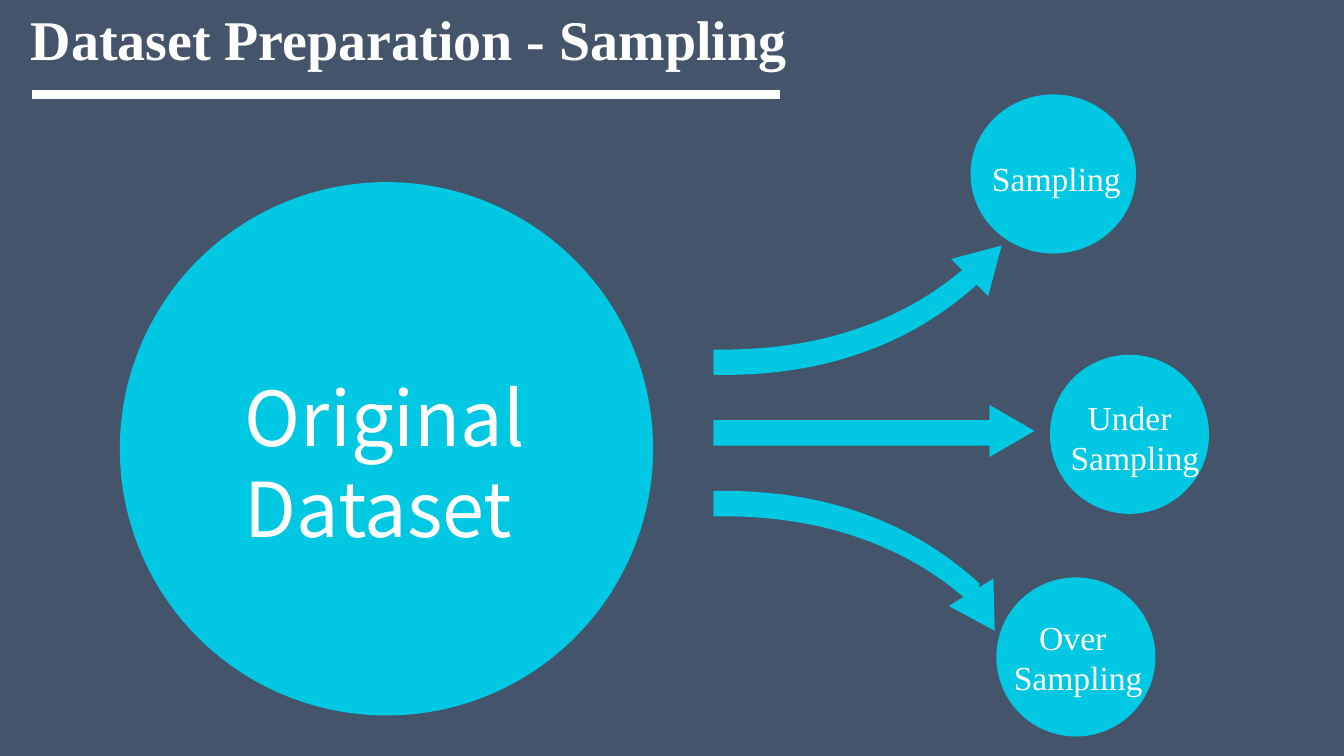
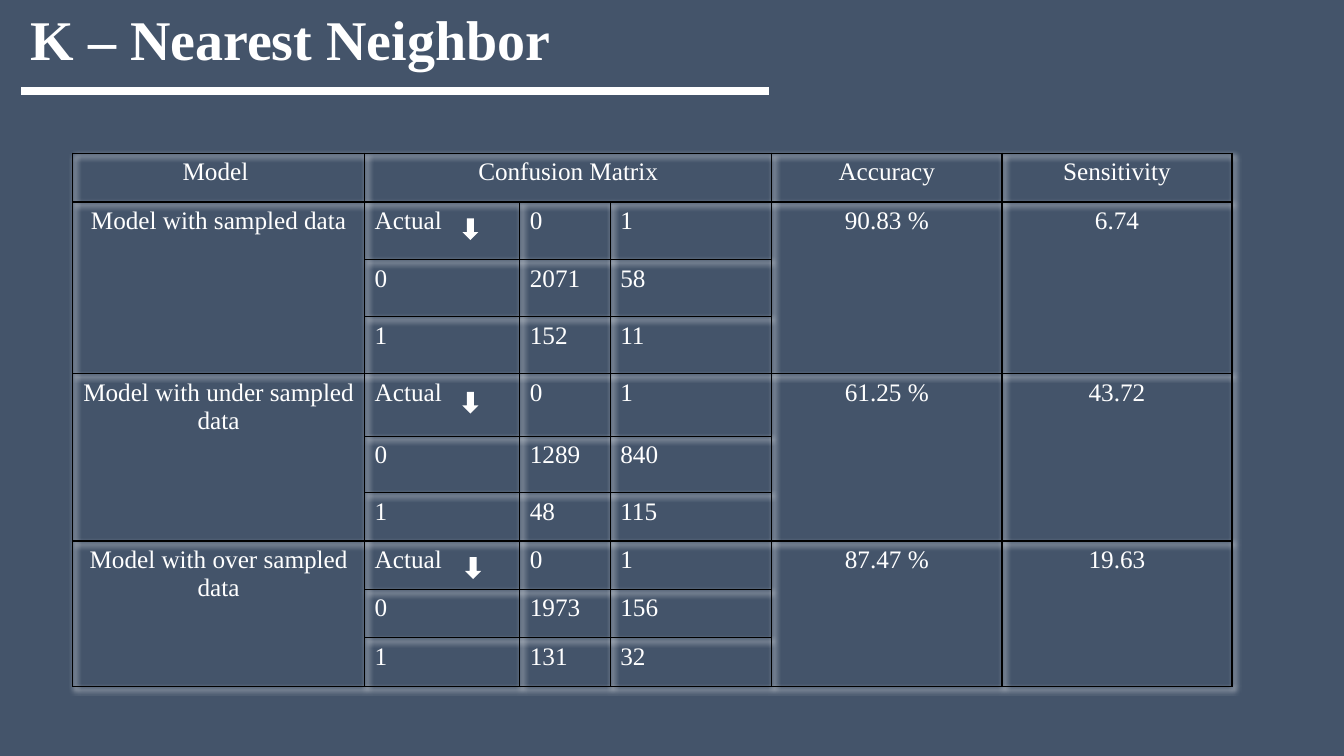
from lxml import etree
from pptx import Presentation
from pptx.dml.color import RGBColor
from pptx.enum.shapes import MSO_CONNECTOR, MSO_SHAPE
from pptx.enum.text import MSO_ANCHOR, MSO_AUTO_SIZE as AutoSize, PP_ALIGN
from pptx.oxml import parse_xml
from pptx.oxml.ns import nsdecls, qn
from pptx.util import Cm, Pt

# Shared look
SLATE = RGBColor(0x44, 0x54, 0x6A)
CYAN = RGBColor(0x00, 0xC7, 0xE2)
WHITE = RGBColor(0xFF, 0xFF, 0xFF)
BLACK = RGBColor(0x00, 0x00, 0x00)
SERIF = "Times New Roman"
SANS = "Noto Sans CJK SC"
TITLE_ONLY = 5
RULE_LENGTH = 18.85

# Curved arrow shaft, in cm: two curves, the flat end, two curves back
SHAFT_START = (24.59, 6.5)
UPPER_CURVES = [
    [(23.7, 7.34), (22.71, 7.9), (21.67, 8.26)],
    [(20.55, 8.66), (19.35, 8.81), (18.21, 8.81)],
]
SHAFT_END = [(17.98, 8.81), (17.98, 9.45), (18.21, 9.45)]
LOWER_CURVES = [
    [(19.38, 9.45), (20.57, 9.3), (21.72, 8.89)],
    [(22.76, 8.53), (23.77, 7.95), (24.69, 7.11)],
]
CURVE_STARTS = (0, 3, 9, 12)
MIRROR_AXIS = 10.91
HEAD_WIDTH, HEAD_HEIGHT = 1.32, 1.14

# Results table
COLUMN_WIDTHS = [7.36, 3.91, 2.28, 4.07, 5.8, 5.8]
ROW_HEIGHTS = [1.23, 1.45, 1.44, 1.44, 1.57, 1.42, 1.22, 1.22, 1.22, 1.22]
CENTERED_COLUMNS = (0, 4, 5)
HEADERS = {0: "Model ", 1: "Confusion Matrix", 4: "Accuracy", 5: "Sensitivity"}
RESULTS = [
    ("Model with sampled data", [("2071", "58"), ("152", "11")], "90.83 %", "6.74"),
    ("Model with under sampled data", [("1289", "840"), ("48", "115")], "61.25 %", "43.72"),
    ("Model with over sampled data", [("1973", "156"), ("131", "32")], "87.47 %", "19.63"),
]


def style_text(frame, size, font=SERIF, bold=False):
    for para in frame.paragraphs:
        for span in para.runs:
            span.font.name = font
            span.font.size = Pt(size)
            span.font.bold = bold
            span.font.color.rgb = WHITE


def add_titled_slide(deck, title, rule_left, rule_top):
    """New slide with the shared title style and the rule below it."""
    page = deck.slides.add_slide(deck.slide_layouts[TITLE_ONLY])
    box = page.shapes.title
    box.left, box.top, box.width, box.height = Cm(0.52), Cm(-0.02), Cm(24), Cm(1.96)
    frame = box.text_frame
    frame.text = title
    frame.auto_size = AutoSize.NONE
    frame.vertical_anchor = MSO_ANCHOR.TOP
    frame.paragraphs[0].alignment = PP_ALIGN.LEFT
    style_text(frame, 40, bold=True)

    rule = page.shapes.add_connector(
        MSO_CONNECTOR.STRAIGHT, Cm(rule_left), Cm(rule_top),
        Cm(rule_left + RULE_LENGTH), Cm(rule_top))
    rule.line.color.rgb = WHITE
    rule.line.width = Pt(6)
    etree.SubElement(rule._element.spPr, qn("a:effectLst"))
    return page


def paint(shape, color):
    shape.shadow.inherit = False
    shape.fill.solid()
    shape.fill.fore_color.rgb = color
    shape.line.fill.background()


def add_solid(shapes, kind, left, top, width, height, color=CYAN):
    shape = shapes.add_shape(kind, Cm(left), Cm(top), Cm(width), Cm(height))
    paint(shape, color)
    return shape


def add_label(page, text, left, top, width, height, size, font=SERIF, indent=0):
    box = page.shapes.add_textbox(Cm(left), Cm(top), Cm(width), Cm(height))
    frame = box.text_frame
    frame.text = text
    frame.word_wrap = False
    frame.auto_size = AutoSize.SHAPE_TO_FIT_TEXT
    if indent:
        frame.paragraphs[0]._p.get_or_add_pPr().set("indent", str(Cm(indent)))
    style_text(frame, size, font)


# Arrows
def bend(shape):
    """Turn each curve's three straight segments into one cubic curve."""
    segments = list(shape._element.iter(qn("a:lnTo")))
    for start in CURVE_STARTS:
        first, *others = segments[start:start + 3]
        curve = etree.Element(qn("a:cubicBezTo"))
        first.addprevious(curve)
        for segment in (first, *others):
            curve.append(segment[0])
            segment.getparent().remove(segment)


def add_arrow_head(shapes, center_x, center_y, angle):
    head = add_solid(shapes, MSO_SHAPE.ISOSCELES_TRIANGLE,
                     center_x - HEAD_WIDTH / 2, center_y - HEAD_HEIGHT / 2,
                     HEAD_WIDTH, HEAD_HEIGHT)
    head.rotation = angle


def add_curved_arrow(page, head, mirrored=False):
    points = [SHAFT_START, *sum(UPPER_CURVES, []), *SHAFT_END, *sum(LOWER_CURVES, [])]
    if mirrored:
        points = [(x, 2 * MIRROR_AXIS - y) for x, y in points]
    points = [(Cm(x), Cm(y)) for x, y in points]
    shapes = page.shapes.add_group_shape().shapes
    builder = shapes.build_freeform(*points[0])
    builder.add_line_segments(points[1:], close=True)
    shaft = builder.convert_to_shape()
    bend(shaft)
    paint(shaft, CYAN)
    add_arrow_head(shapes, *head)


def add_straight_arrow(page, head):
    shapes = page.shapes.add_group_shape().shapes
    add_solid(shapes, MSO_SHAPE.RECTANGLE, 17.98, 10.59, 7.19, 0.64)
    add_arrow_head(shapes, *head)


# Table
def set_borders(cell):
    properties = cell._tc.get_or_add_tcPr()
    for side in ("lnL", "lnR", "lnT", "lnB"):
        properties.append(parse_xml(
            f'<a:{side} {nsdecls("a")} w="{Pt(1)}"><a:solidFill>'
            f'<a:srgbClr val="{BLACK}"/></a:solidFill></a:{side}>'))


def fill_cell(table, row, column, text):
    frame = table.cell(row, column).text_frame
    frame.text = text
    centered = row == 0 or column in CENTERED_COLUMNS
    frame.paragraphs[0].alignment = PP_ALIGN.CENTER if centered else PP_ALIGN.LEFT
    style_text(frame, 18)


def add_results_table(page):
    table = page.shapes.add_table(
        len(ROW_HEIGHTS), len(COLUMN_WIDTHS), Cm(1.83), Cm(3.86),
        Cm(sum(COLUMN_WIDTHS)), Cm(sum(ROW_HEIGHTS))).table
    table.first_row = table.horz_banding = False
    table._tbl.tblPr.insert(0, parse_xml(
        f'<a:effectLst {nsdecls("a")}><a:outerShdw blurRad="50800" dist="38100" '
        f'dir="2700000" algn="tl" rotWithShape="0"><a:srgbClr val="{WHITE}"/>'
        '</a:outerShdw></a:effectLst>'))
    for column, width in zip(table.columns, COLUMN_WIDTHS):
        column.width = Cm(width)
    for row, height in zip(table.rows, ROW_HEIGHTS):
        row.height = Cm(height)
    for cell in table.iter_cells():
        set_borders(cell)
        cell.fill.background()

    table.cell(0, 1).merge(table.cell(0, 3))
    for column, text in HEADERS.items():
        fill_cell(table, 0, column, text)
    for block, (model, counts, accuracy, sensitivity) in enumerate(RESULTS):
        top = 1 + 3 * block
        for column, text in zip(CENTERED_COLUMNS, (model, accuracy, sensitivity)):
            table.cell(top, column).merge(table.cell(top + 2, column))
            fill_cell(table, top, column, text)
        matrix = [("Actual", "0", "1"), ("0", *counts[0]), ("1", *counts[1])]
        for row, values in enumerate(matrix, top):
            for column, text in enumerate(values, 1):
                fill_cell(table, row, column, text)


def add_marker(page, left, top):
    """Small down arrow with a thick, sharp-cornered outline."""
    marker = add_solid(page.shapes, MSO_SHAPE.DOWN_ARROW, left, top, 0.13, 0.41, WHITE)
    marker.line.color.rgb = WHITE
    marker.line.width = Pt(3.25)
    join = etree.SubElement(marker._element.spPr.find(qn("a:ln")), qn("a:miter"))
    join.set("lim", "800000")


# Slides
def build_sampling_slide(deck):
    page = add_titled_slide(deck, "Dataset Preparation - Sampling", 0.81, 2.38)
    add_solid(page.shapes, MSO_SHAPE.OVAL, 3.02, 4.59, 13.44, 13.44)
    add_label(page, "Original\nDataset", 5.92, 9.22, 7.82, 4.88, 54, SANS)

    add_curved_arrow(page, (24.84, 6.59, 45))
    add_straight_arrow(page, (25.5, 10.86, 90))
    add_curved_arrow(page, (24.77, 15.41, 148.5), mirrored=True)

    # Circle frame, then label text, frame and first-line indent
    samples = [
        ((24.46, 2.38, 4.17, 4.01), "Sampling", (24.75, 3.86, 3.78, 1.27), 0),
        ((26.46, 8.94, 4.01, 4.01), "Under\nSampling", (26.73, 9.88, 3.78, 2.31), 0.43),
        ((25.11, 14.55, 4.01, 4.01), "Over\nSampling", (25.3, 15.42, 3.78, 2.31), 0.64),
    ]
    for circle, text, frame, indent in samples:
        add_solid(page.shapes, MSO_SHAPE.OVAL, *circle)
        add_label(page, text, *frame, 24, indent=indent)


def build_neighbor_slide(deck):
    page = add_titled_slide(deck, "K – Nearest Neighbor", 0.53, 2.29)
    add_results_table(page)
    for left, top in ((11.79, 5.56), (11.79, 9.93), (11.86, 14.1)):
        add_marker(page, left, top)


def main():
    deck = Presentation()
    deck.slide_width, deck.slide_height = Cm(33.87), Cm(19.05)
    background = deck.slide_master.background.fill
    background.solid()
    background.fore_color.rgb = SLATE
    build_sampling_slide(deck)
    build_neighbor_slide(deck)
    deck.save("out.pptx")


if __name__ == "__main__":
    main()
